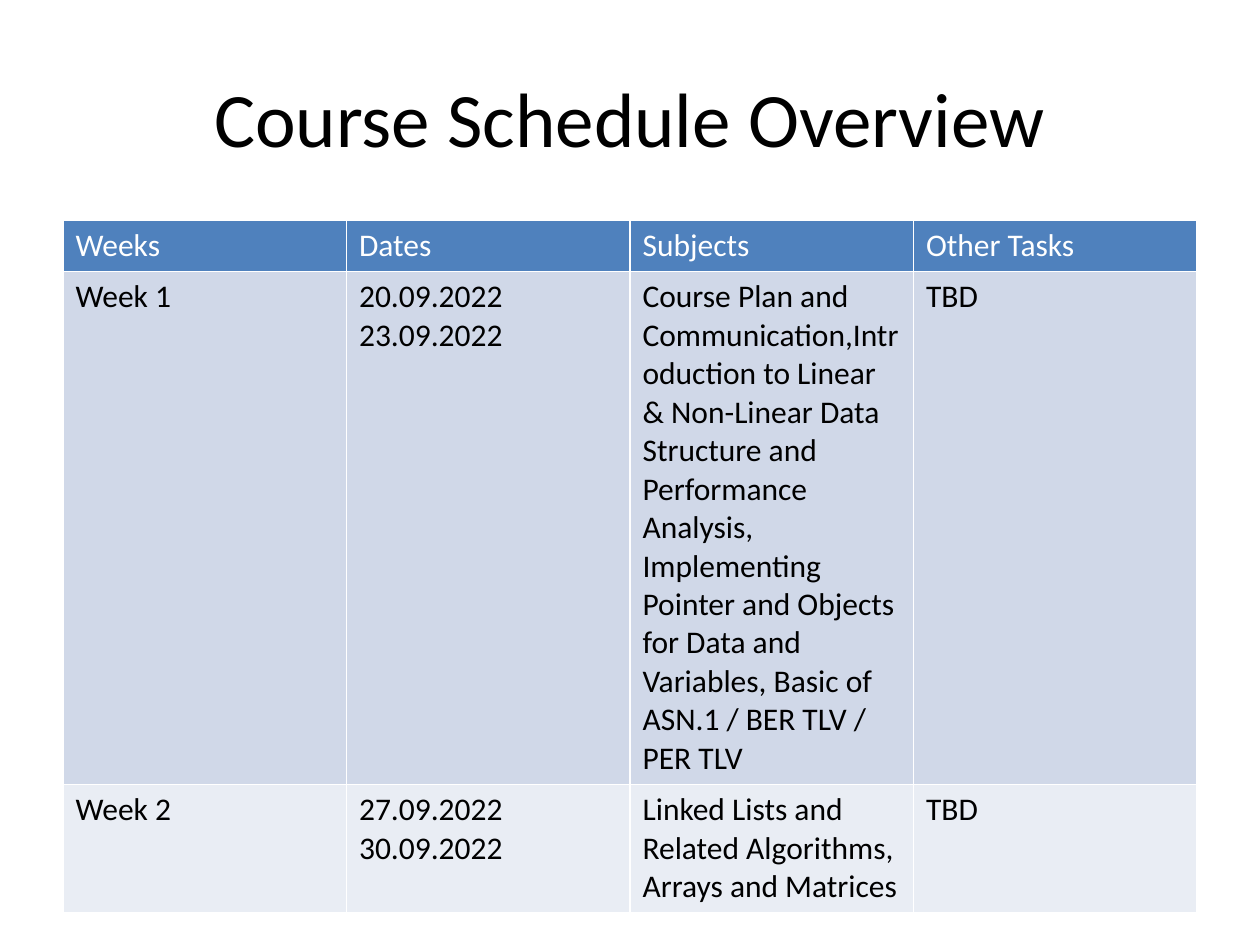
from dataclasses import dataclass

from pptx import Presentation
from pptx.dml.color import RGBColor
from pptx.enum.text import MSO_ANCHOR, PP_ALIGN
from pptx.slide import Slide
from pptx.table import _Cell
from pptx.text.text import TextFrame
from pptx.util import Inches, Pt


@dataclass(frozen=True)
class Theme:
    font: str = "Calibri"
    title_size: int = 44
    body_size: int = 18
    text: str = "000000"
    header_text: str = "FFFFFF"
    header_fill: str = "4F81BD"
    bands: tuple[str, str] = ("D0D8E8", "E9EDF4")


@dataclass(frozen=True)
class ScheduleRow:
    cells: tuple[str, str, str, str]
    height: float


THEME = Theme()
WIDTH, HEIGHT = 10, 7.5
MARGIN = WIDTH * 0.05
CONTENT_WIDTH = WIDTH - 2 * MARGIN
TITLE_TOP, TITLE_HEIGHT = HEIGHT * 0.04, 1.25
TABLE_TOP = 1.75

SCHEDULE = (
    ScheduleRow(("Weeks", "Dates", "Subjects", "Other Tasks"), 0.4),
    ScheduleRow(
        (
            "Week 1",
            "20.09.2022 23.09.2022",
            "Course Plan and Communication,Introduction to Linear & Non-Linear "
            "Data Structure and Performance Analysis, Implementing Pointer and "
            "Objects for Data and Variables, Basic of ASN.1 / BER TLV / PER TLV",
            "TBD",
        ),
        4.07,
    ),
    ScheduleRow(
        (
            "Week 2",
            "27.09.2022 30.09.2022",
            "Linked Lists and Related Algorithms, Arrays and Matrices",
            "TBD",
        ),
        1.01,
    ),
)


def write(frame: TextFrame, text: str, size: int, color: str, align: PP_ALIGN) -> None:
    paragraph = frame.paragraphs[0]
    paragraph.alignment = align
    run = paragraph.add_run()
    run.text = text
    run.font.name = THEME.font
    run.font.size = Pt(size)
    run.font.bold = False
    run.font.color.rgb = RGBColor.from_string(color)


def fill_cell(cell: _Cell, text: str, fill: str, color: str) -> None:
    cell.fill.solid()
    cell.fill.fore_color.rgb = RGBColor.from_string(fill)
    write(cell.text_frame, text, THEME.body_size, color, PP_ALIGN.LEFT)


def add_title(slide: Slide, text: str) -> None:
    title = slide.shapes.title
    title.left, title.top = Inches(MARGIN), Inches(TITLE_TOP)
    title.width, title.height = Inches(CONTENT_WIDTH), Inches(TITLE_HEIGHT)
    title.text_frame.vertical_anchor = MSO_ANCHOR.MIDDLE
    write(title.text_frame, text, THEME.title_size, THEME.text, PP_ALIGN.CENTER)


def add_schedule(slide: Slide, rows: tuple[ScheduleRow, ...]) -> None:
    table = slide.shapes.add_table(
        len(rows),
        len(rows[0].cells),
        Inches(MARGIN),
        Inches(TABLE_TOP),
        Inches(CONTENT_WIDTH),
        Inches(sum(row.height for row in rows)),
    ).table
    for index, row in enumerate(rows):
        table.rows[index].height = Inches(row.height)
        is_header = index == 0
        fill = THEME.header_fill if is_header else THEME.bands[(index - 1) % 2]
        color = THEME.header_text if is_header else THEME.text
        for column, text in enumerate(row.cells):
            fill_cell(table.cell(index, column), text, fill, color)


def main() -> None:
    presentation = Presentation()
    presentation.slide_width = Inches(WIDTH)
    presentation.slide_height = Inches(HEIGHT)
    title_only = presentation.slide_layouts.get_by_name("Title Only")
    slide = presentation.slides.add_slide(title_only)
    add_title(slide, "Course Schedule Overview")
    add_schedule(slide, SCHEDULE)
    presentation.save("out.pptx")


main()
